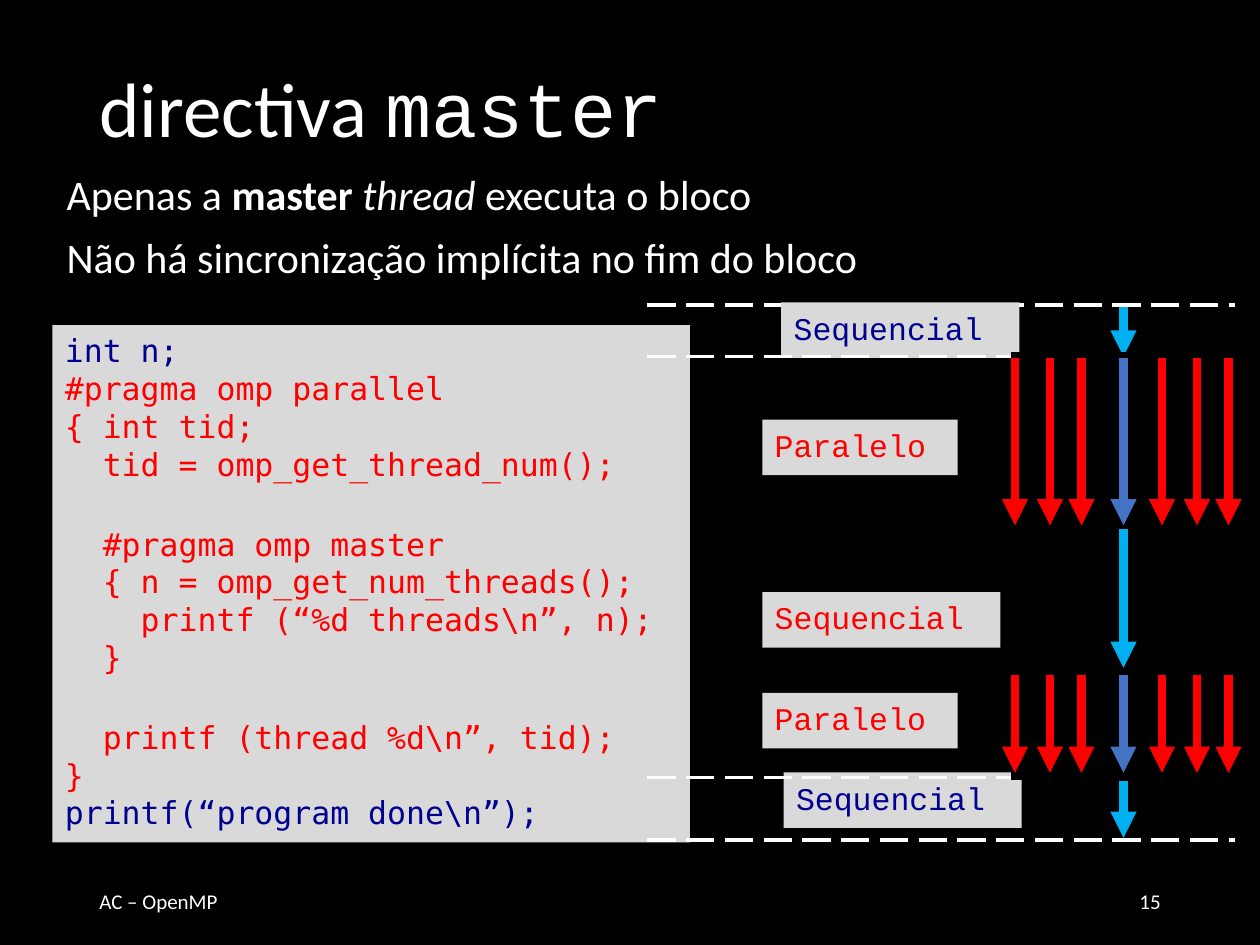
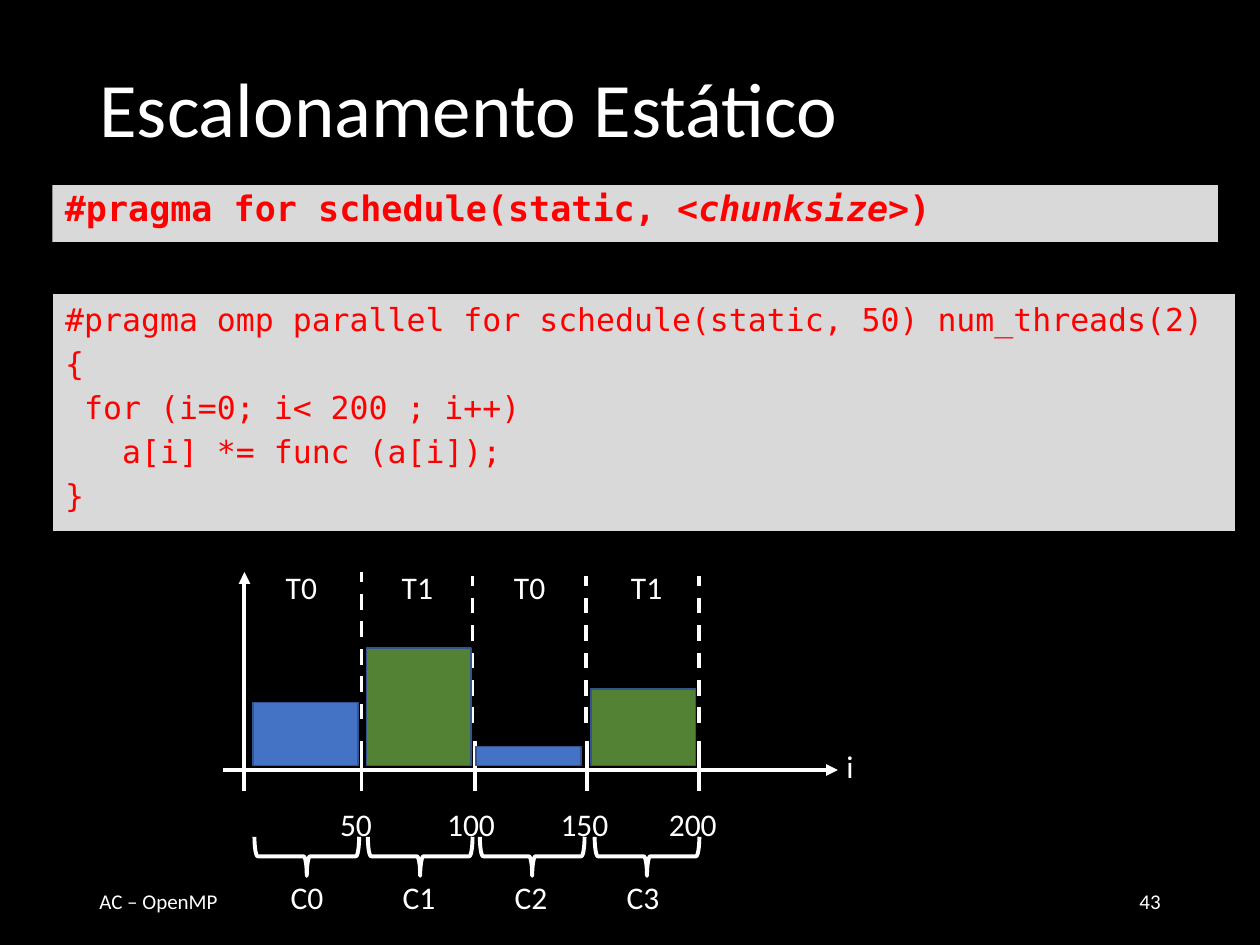
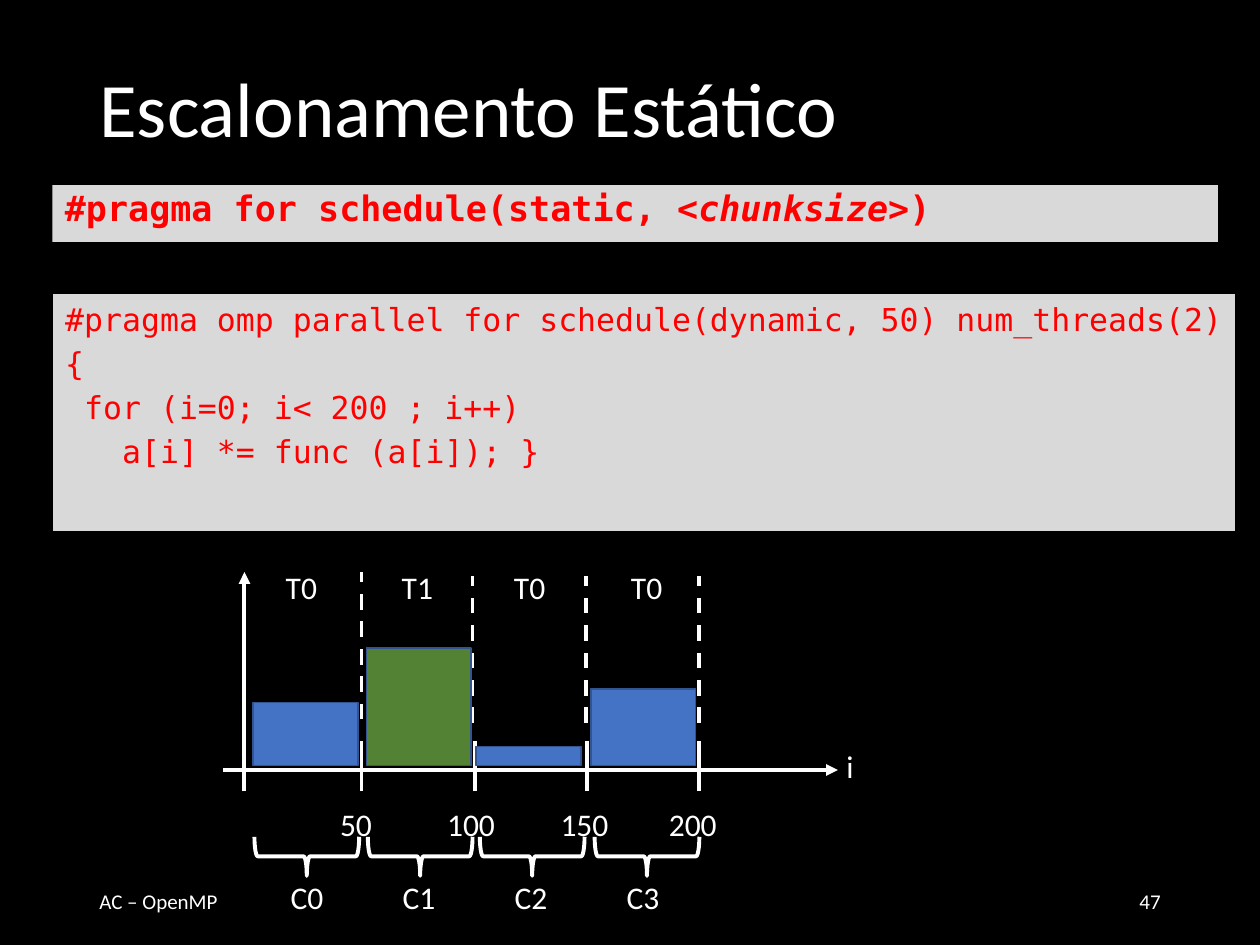
"""Build three slides on OpenMP directives and loop scheduling."""

from typing import NamedTuple, Optional

from pptx import Presentation
from pptx.dml.color import RGBColor
from pptx.enum.dml import MSO_LINE
from pptx.enum.shapes import MSO_CONNECTOR, MSO_SHAPE
from pptx.enum.text import MSO_ANCHOR, PP_ALIGN
from pptx.oxml.ns import qn
from pptx.util import Pt
from lxml.etree import SubElement

BLACK, WHITE, GREY = "000000", "FFFFFF", "D9D9D9"
RED, NAVY, CYAN = "FF0000", "000090", "00B0F0"
BLUE, GREEN, BAR_EDGE = "4472C4", "548235", "325491"
SANS, COURIER, CODE = "Calibri", "Courier New", "DejaVu Sans Mono"

THREAD_COLUMNS = (580, 600, 618, 642, 664, 684, 702)
MASTER_COLUMN = 642
THREAD_COLORS = {"T0": BLUE, "T1": GREEN}
AXIS_Y = 440
BAR_BOTTOM = 437.4
BAR_WIDTH = 59.8


class Box(NamedTuple):
    """Left, top, width and height in points."""

    left: float
    top: float
    width: float
    height: float


class Run(NamedTuple):
    """A stretch of text with one format."""

    text: str
    size: float = 18
    font: str = SANS
    color: str = WHITE
    bold: bool = False
    italic: bool = False


class Line(NamedTuple):
    """A paragraph made of runs."""

    runs: tuple[Run, ...]
    space_before: float = 0
    spacing: float = 1
    align: PP_ALIGN = PP_ALIGN.LEFT


class Stroke(NamedTuple):
    """The pen of a line or outline."""

    color: str
    width: float
    dash: Optional[MSO_LINE] = None
    arrow: bool = False


class Region(NamedTuple):
    """A labelled stage of the program's execution."""

    text: str
    left: float
    top: float
    width: float
    color: str


class Chunk(NamedTuple):
    """One chunk of iterations on the schedule diagram."""

    end: str
    end_left: float
    tick_x: float
    dash_x: float
    dash_top: float
    thread_left: float
    bar_left: float
    bar_height: float
    brace_left: float


CHUNKS = (
    Chunk("50", 187.2, 206.6, 206.6, 326.9, 156.2, 144.7, 36, 164.2),
    Chunk("100", 248.4, 271.4, 270, 329, 222.5, 209.5, 67, 229),
    Chunk("150", 313.2, 335.5, 334.8, 329, 286.6, 272.2, 10.8, 293),
    Chunk("200", 375.1, 399.6, 399.6, 329, 353.5, 337.7, 43.9, 358.6),
)

AXIS = Stroke(WHITE, 2.25)
AXIS_ARROW = Stroke(WHITE, 2.25, arrow=True)
CHUNK_LIMIT = Stroke(WHITE, 2.25, MSO_LINE.DASH)
STAGE_LIMIT = Stroke(WHITE, 2, MSO_LINE.LONG_DASH)
MASK = Stroke(BLACK, 5)
SEQUENTIAL = Stroke(CYAN, 5, arrow=True)


def rgb(color: str) -> RGBColor:
    """Turn a hex string into a colour."""
    return RGBColor.from_string(color)


def write(shape, lines: list[Line], anchor: MSO_ANCHOR = MSO_ANCHOR.TOP) -> None:
    """Fill a shape with paragraphs, run by run."""
    frame = shape.text_frame
    frame.word_wrap = True
    frame.vertical_anchor = anchor
    for index, line in enumerate(lines):
        paragraph = frame.add_paragraph() if index else frame.paragraphs[0]
        paragraph.alignment = line.align
        paragraph.line_spacing = line.spacing
        paragraph.space_before = Pt(line.space_before)
        for item in line.runs:
            run = paragraph.add_run()
            run.text = item.text
            run.font.size = Pt(item.size)
            run.font.name = item.font
            run.font.bold = item.bold
            run.font.italic = item.italic
            run.font.color.rgb = rgb(item.color)


def add_text(slide, box: Box, lines: list[Line], anchor: MSO_ANCHOR = MSO_ANCHOR.TOP) -> None:
    """Add a plain text box."""
    write(slide.shapes.add_textbox(*map(Pt, box)), lines, anchor)


def add_label(slide, left: float, top: float, width: float, text: str) -> None:
    """Add a one-line diagram label."""
    add_text(slide, Box(left, top, width, 28.8), [Line((Run(text),))])


def add_block(slide, box: Box, fill: Optional[str] = GREY, stroke: Optional[Stroke] = None,
              kind: MSO_SHAPE = MSO_SHAPE.RECTANGLE):
    """Add a flat preset shape."""
    shape = slide.shapes.add_shape(kind, *map(Pt, box))
    shape.shadow.inherit = False
    if fill:
        shape.fill.solid()
        shape.fill.fore_color.rgb = rgb(fill)
    else:
        shape.fill.background()
    if stroke:
        shape.line.color.rgb = rgb(stroke.color)
        shape.line.width = Pt(stroke.width)
    else:
        shape.line.fill.background()
    return shape


def add_line(slide, start: tuple[float, float], end: tuple[float, float], stroke: Stroke) -> None:
    """Add a straight line, dashed or with an arrowhead if asked."""
    connector = slide.shapes.add_connector(MSO_CONNECTOR.STRAIGHT, *map(Pt, start + end))
    connector.line.color.rgb = rgb(stroke.color)
    connector.line.width = Pt(stroke.width)
    if stroke.dash:
        connector.line.dash_style = stroke.dash
    if stroke.arrow:
        SubElement(connector.line._get_or_add_ln(), qn("a:tailEnd"), type="triangle")
    SubElement(connector._element.spPr, qn("a:effectLst"))


def add_frame(presentation, title: tuple[Run, ...], number: int):
    """Add a slide with its title, footer and number."""
    slide = presentation.slides.add_slide(presentation.slide_layouts[6])
    add_text(slide, Box(49.7, 28.8, 620.6, 71.3), [Line(title, spacing=0.9)], MSO_ANCHOR.MIDDLE)
    footers = ((49.7, "AC – OpenMP", PP_ALIGN.LEFT), (508.3, str(number), PP_ALIGN.RIGHT))
    for left, text, align in footers:
        add_text(slide, Box(left, 500.4, 162, 28.8), [Line((Run(text, 12),), align=align)],
                 MSO_ANCHOR.MIDDLE)
    return slide


def code_line(text: str, color: str = RED, space_before: float = 0) -> Line:
    """Make one line of source code."""
    return Line((Run(text, font=CODE, color=color),), space_before)


def add_region(slide, region: Region) -> None:
    """Add the label of an execution stage."""
    shape = add_block(slide, Box(region.left, region.top, region.width, 31.7))
    write(shape, [Line((Run(region.text, font=COURIER, color=region.color),))])


def add_limit(slide, y: float) -> None:
    """Add a dashed boundary between stages."""
    add_line(slide, (370, y), (705.6, y), STAGE_LIMIT)


def add_mask(slide, y: float) -> None:
    """Clear the strip behind the thread arrows."""
    add_line(slide, (578, y), (706, y), MASK)


def add_master_arrow(slide, top: float, bottom: float) -> None:
    """Add the arrow of the lone sequential thread."""
    add_line(slide, (MASTER_COLUMN, top), (MASTER_COLUMN, bottom), SEQUENTIAL)


def add_team_arrows(slide, top: float, bottom: float) -> None:
    """Add one arrow for each thread of the team."""
    for x in THREAD_COLUMNS:
        color = BLUE if x == MASTER_COLUMN else RED
        add_line(slide, (x, top), (x, bottom), Stroke(color, 5, arrow=True))


def build_master_slide(presentation) -> None:
    """Build the slide about the master directive."""
    slide = add_frame(presentation, (Run("directiva ", 44), Run("master", 44, COURIER)), 15)
    add_text(slide, Box(31, 95.8, 664.6, 77.8), [
        Line((Run("Apenas a", 24), Run(" master ", 24, bold=True),
              Run("thread", 24, italic=True), Run(" executa o bloco", 24)), spacing=0.9),
        Line((Run("Não há sincronização implícita no fim do bloco", 24),), 10, 0.9),
    ])
    write(add_block(slide, Box(30, 185.8, 364.3, 295.6)), [
        code_line("int n;", NAVY),
        code_line("#pragma omp parallel"),
        code_line("{ int tid;"),
        code_line("  tid = omp_get_thread_num();"),
        code_line("  #pragma omp master", space_before=24),
        code_line("  { n = omp_get_num_threads();"),
        code_line("    printf (“%d threads\\n”, n);"),
        code_line("  }"),
        code_line("  printf (thread %d\\n”, tid);", space_before=24),
        code_line("}"),
        code_line("printf(“program done\\n”);", NAVY),
    ])
    add_master_arrow(slide, 446.4, 478.8)
    add_limit(slide, 480)
    add_region(slide, Region("Sequencial", 447.8, 441.4, 136.1, NAVY))
    add_master_arrow(slide, 174.2, 203.8)
    add_limit(slide, 174.2)
    add_region(slide, Region("Sequencial", 446.4, 172.8, 136.1, NAVY))
    add_limit(slide, 203.8)
    add_limit(slide, 444.2)
    add_mask(slide, 383.8)
    add_mask(slide, 443.5)
    add_team_arrows(slide, 383.8, 441.6)
    add_region(slide, Region("Paralelo", 435.6, 396, 111.6, RED))
    add_mask(slide, 383)
    add_master_arrow(slide, 302.4, 381.6)
    add_region(slide, Region("Sequencial", 435.6, 338.4, 136.1, RED))
    add_mask(slide, 203.8)
    add_team_arrows(slide, 204.5, 300.2)
    add_region(slide, Region("Paralelo", 435.6, 239.8, 111.6, RED))


def add_schedule(slide, threads: tuple[str, ...]) -> None:
    """Draw the chunks of the loop and the threads that run them."""
    add_line(slide, (127.4, AXIS_Y), (478.8, AXIS_Y), AXIS_ARROW)
    add_line(slide, (139.7, 452.2), (139.7, 326.9), AXIS_ARROW)
    add_label(slide, 476.6, 423.4, 27.4, "i")
    for index, (chunk, thread) in enumerate(zip(CHUNKS, threads)):
        add_line(slide, (chunk.tick_x, 452.2), (chunk.tick_x, 423.4), AXIS)
        add_label(slide, chunk.end_left, 456.5, 49, chunk.end)
        add_block(slide, Box(chunk.brace_left, 459.4, 22.3, BAR_WIDTH), None, AXIS,
                  MSO_SHAPE.LEFT_BRACE).rotation = 270
        add_label(slide, 159 + 64 * index, 498.2, 33.8, f"C{index}")
        add_line(slide, (chunk.dash_x, chunk.dash_top + 84.2), (chunk.dash_x, chunk.dash_top),
                 CHUNK_LIMIT)
        add_label(slide, chunk.thread_left, 321.1, 33.8, thread)
        bar = Box(chunk.bar_left, BAR_BOTTOM - chunk.bar_height, BAR_WIDTH, chunk.bar_height)
        add_block(slide, bar, THREAD_COLORS[thread], Stroke(BAR_EDGE, 1))


def build_schedule_slide(presentation, number: int, code: tuple[str, ...],
                         threads: tuple[str, ...]) -> None:
    """Build a slide about loop scheduling."""
    slide = add_frame(presentation, (Run("Escalonamento Estático", 44),), number)
    syntax = (
        Run("#pragma for schedule(static, ", 20, CODE, RED, True),
        Run("<chunksize>", 20, CODE, RED, True, True),
        Run(")", 20, CODE, RED, True),
    )
    write(add_block(slide, Box(30, 105.8, 666, 32.4)), [Line(syntax, spacing=0.9)])
    listing = add_block(slide, Box(30.2, 167.8, 676.2, 136.1), stroke=Stroke(BLACK, 0.75))
    write(listing, [code_line(text, space_before=3.6 if index else 0)
                    for index, text in enumerate(code)])
    add_schedule(slide, threads)


def main() -> None:
    """Build and save the presentation."""
    presentation = Presentation()
    presentation.slide_width, presentation.slide_height = Pt(720), Pt(540)
    background = presentation.slide_master.background.fill
    background.solid()
    background.fore_color.rgb = rgb(BLACK)
    build_master_slide(presentation)
    loop = ("{", " for (i=0; i< 200 ; i++)")
    build_schedule_slide(
        presentation, 43,
        ("#pragma omp parallel for schedule(static, 50) num_threads(2)", *loop,
         "   a[i] *= func (a[i]);", "}"),
        ("T0", "T1", "T0", "T1"))
    build_schedule_slide(
        presentation, 47,
        ("#pragma omp parallel for schedule(dynamic, 50) num_threads(2)", *loop,
         "   a[i] *= func (a[i]); }"),
        ("T0", "T1", "T0", "T0"))
    presentation.save("out.pptx")


if __name__ == "__main__":
    main()
